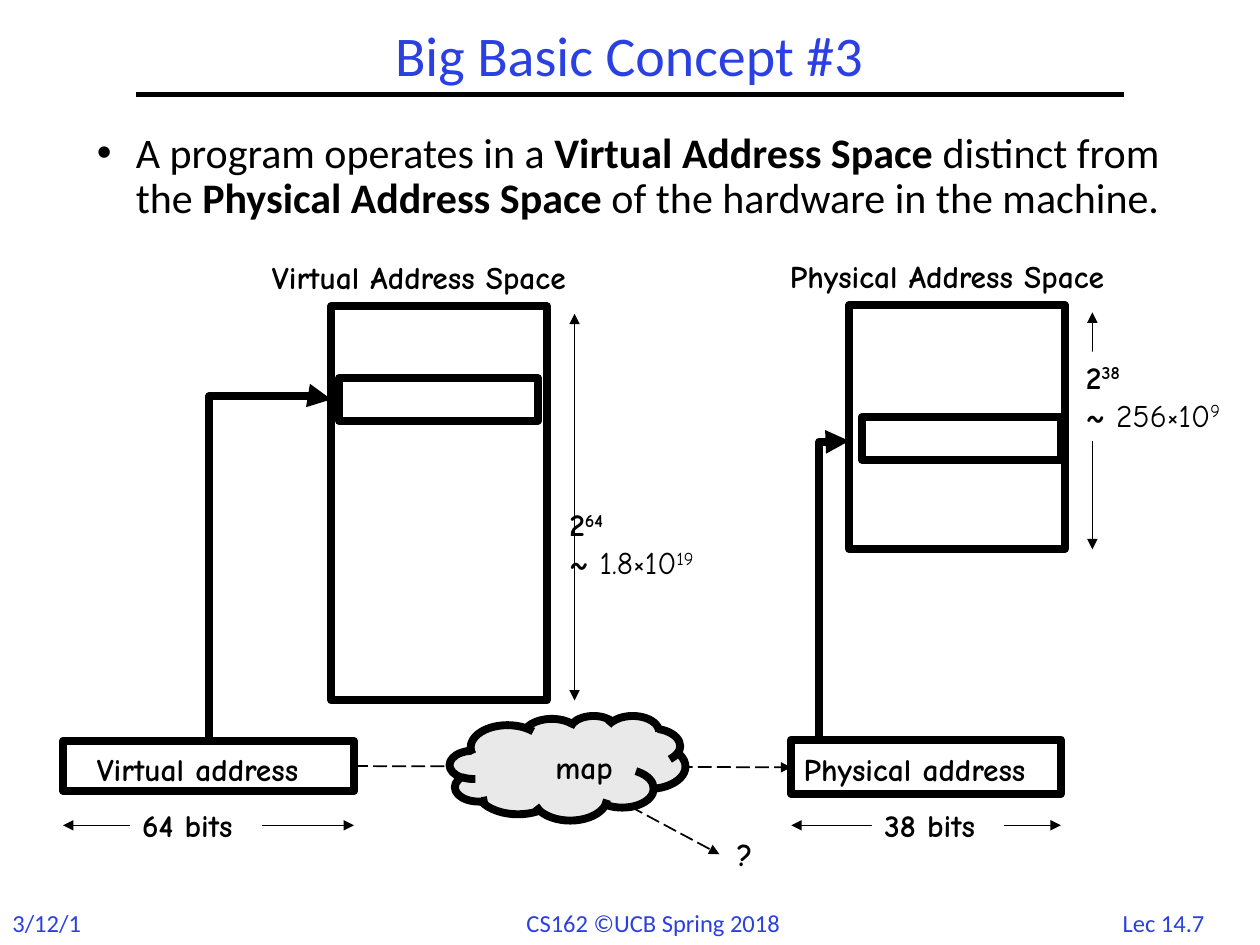
from lxml.etree import SubElement
from pptx import Presentation
from pptx.dml.color import RGBColor
from pptx.enum.dml import MSO_LINE as Dash
from pptx.enum.shapes import MSO_CONNECTOR as Link, MSO_SHAPE as Preset
from pptx.enum.text import MSO_ANCHOR as Anchor, PP_ALIGN as Align
from pptx.oxml.ns import qn
from pptx.util import Pt

PX = 914400 // 100
BLACK, WHITE, BLUE, GRAY = "000000", "FFFFFF", "2A40E2", "E9E9E9"
HAND = dict(name="Comic Neue", size=Pt(18), bold=True)
SMALL = dict(name="Calibri", size=Pt(14))
BODY = dict(name="Calibri", size=Pt(24))
HEADING = dict(name="Calibri", size=Pt(32))
THICK = 4.5


def emu(*lengths):
    """Turn px lengths into EMU."""
    return [round(length * PX) for length in lengths]


def color(value):
    """Turn a hex string into a colour."""
    return RGBColor.from_string(value)


def apply(target, values):
    """Set each attribute of the target from a dict."""
    for name, value in values.items():
        setattr(target, name, value)


class Diagram:
    """Holds the style and the current slide."""

    def __init__(self, slide):
        """Start drawing on a slide."""
        self.slide = slide
        self.shapes = slide.shapes

    def set_text(self, shape, paragraphs, style, ink=BLACK, wrap=False, anchor=Anchor.TOP, **layout):
        """Fill a shape with paragraphs of (text, extra font values, superscript) runs."""
        frame = shape.text_frame
        apply(frame, dict(word_wrap=wrap, vertical_anchor=anchor))
        for index, runs in enumerate(paragraphs):
            paragraph = frame.add_paragraph() if index else frame.paragraphs[0]
            apply(paragraph, dict(alignment=Align.LEFT) | layout)
            for text, extra, raised in runs:
                run = paragraph.add_run()
                run.text = text
                apply(run.font, style | extra)
                run.font.color.rgb = color(ink)
                if raised:
                    run.font._element.set("baseline", "30000")
        return frame

    def title(self, box, text):
        """Place and format the title placeholder."""
        shape = self.shapes.title
        apply(shape, dict(zip(("left", "top", "width", "height"), emu(*box))))
        self.set_text(shape, [[(text, {}, False)]], HEADING, BLUE, True, Anchor.MIDDLE,
                      alignment=Align.CENTER, line_spacing=0.9)

    def bullet(self, box, runs):
        """Add one bulleted paragraph."""
        shape = self.shapes.add_textbox(*emu(*box))
        frame = self.set_text(shape, [runs], BODY, wrap=True, line_spacing=0.9)
        properties = frame.paragraphs[0]._p.get_or_add_pPr()
        indent, = emu(31)
        properties.set("marL", str(indent))
        properties.set("indent", str(-indent))
        SubElement(properties, qn("a:buFont"), typeface="Arial")
        SubElement(properties, qn("a:buChar"), char="•")

    def label(self, box, text, style=HAND, ink=BLACK, **layout):
        """Add a one-line text."""
        shape = self.shapes.add_textbox(*emu(*box))
        self.set_text(shape, [[(text, {}, False)]], style, ink, **layout)

    def box(self, box, fill=None, outline=THICK, preset=Preset.RECTANGLE):
        """Add a preset shape, filled or hollow."""
        shape = self.shapes.add_shape(preset, *emu(*box))
        shape.shadow.inherit = False
        if fill:
            shape.fill.solid()
            shape.fill.fore_color.rgb = color(fill)
        else:
            shape.fill.background()
        if outline:
            shape.line.color.rgb = color(BLACK)
            shape.line.width = Pt(outline)
        else:
            shape.line.fill.background()
        return shape

    def patch(self, box, paragraphs):
        """Add text on a white patch that hides what is behind it."""
        self.set_text(self.box(box, WHITE, None), paragraphs, HAND)

    def size(self, box, power, amount, exponent):
        """Add the size of an address space as a power and an estimate."""
        plain = dict(bold=False)
        self.patch(box, [[("2", {}, False), (power, {}, True)],
                         [("~ ", {}, False), (amount, plain, False), (exponent, plain, True)]])

    def line(self, start, end, width=0.75, ends=(), dash=None, kind=Link.STRAIGHT):
        """Add a connector with optional arrowheads."""
        connector = self.shapes.add_connector(kind, *emu(*start, *end))
        connector.line.color.rgb = color(BLACK)
        connector.line.width = Pt(width)
        if dash:
            connector.line.dash_style = dash
        for tag in ends:
            SubElement(connector.line._get_or_add_ln(), qn(f"a:{tag}"), type="triangle")
        SubElement(connector._element.spPr, qn("a:effectLst"))
        return connector

    def span(self, start, end):
        """Add a thin dimension line with two arrowheads."""
        self.line(start, end, ends=("headEnd", "tailEnd"))

    def pointer(self, start, end, bend):
        """Add a thick elbow that rises from start, then turns right to end."""
        (left, bottom), (right, top) = start, end
        middle_x, middle_y = (left + right) / 2, (top + bottom) / 2
        reach, drop = (bottom - top) / 2, (right - left) / 2
        connector = self.line((middle_x + reach, middle_y + drop),
                              (middle_x - reach, middle_y - drop),
                              THICK, ("tailEnd",), kind=Link.ELBOW)
        properties = connector._element.spPr
        properties.find(qn("a:xfrm")).set("rot", "5400000")
        guides = properties.find(qn("a:prstGeom")).get_or_add_avLst()
        SubElement(guides, qn("a:gd"), name="adj1", fmla=f"val {bend}")


def main():
    """Build the slide."""
    presentation = Presentation()
    presentation.slide_width, presentation.slide_height = emu(1000, 750)
    diagram = Diagram(presentation.slides.add_slide(presentation.slide_layouts[5]))

    diagram.label((872, 716, 103, 33), "Lec 14.7", SMALL, BLUE, alignment=Align.CENTER)
    diagram.label((0, 716, 80, 34), "3/12/19", SMALL, BLUE)
    diagram.label((408, 716, 230, 34), "CS162 ©UCB Spring 2018", SMALL, BLUE)
    diagram.line((108, 75), (892, 75), 3)
    diagram.title((108, 17, 783, 58), "Big Basic Concept #3")
    strong = dict(bold=True)
    diagram.bullet((67, 100, 867, 558), [
        ("A program operates in a ", {}, False),
        ("Virtual Address Space ", strong, False),
        ("distinct from the ", {}, False),
        ("Physical Address Space ", strong, False),
        ("of the hardware in the machine.", {}, False)])

    diagram.size((442, 396, 133, 71), "64", "1.8×10", "19")
    diagram.box((263, 243, 171, 313), WHITE)
    diagram.box((50, 588, 231, 40), WHITE)
    diagram.span((50, 655), (281, 655))
    diagram.patch((103, 635, 105, 40), [[("64 bits", {}, False)]])
    diagram.label((206, 200, 285, 40), "Virtual Address Space")
    diagram.box((269, 300, 158, 34))
    diagram.label((67, 590, 202, 40), "Virtual address")
    diagram.span((456, 249), (456, 556))
    diagram.pointer((166, 588), (263, 317), 101000)

    diagram.box((674, 242, 171, 194), WHITE)
    diagram.label((617, 199, 298, 40), "Physical Address Space")
    diagram.box((684, 331, 158, 34))
    diagram.span((867, 248), (867, 436))
    diagram.size((852, 279, 138, 71), "38", "256×10", "9")
    diagram.box((628, 587, 214, 43), WHITE)
    diagram.span((628, 655), (842, 655))
    diagram.patch((692, 635, 105, 40), [[("38 bits", {}, False)]])
    diagram.label((628, 590, 214, 40), "Physical address")
    diagram.pointer((650, 587), (674, 350), 99700)

    diagram.line((281, 608), (628, 609), 1, ("tailEnd",), Dash.LONG_DASH)
    diagram.box((357, 568, 187, 83), GRAY, preset=Preset.CLOUD)
    diagram.label((431, 589, 66, 40), "map")
    diagram.line((500, 640), (571, 678), 1, ("tailEnd",), Dash.LONG_DASH)
    diagram.label((575, 658, 34, 40), "?")
    presentation.save("out.pptx")


if __name__ == "__main__":
    main()
